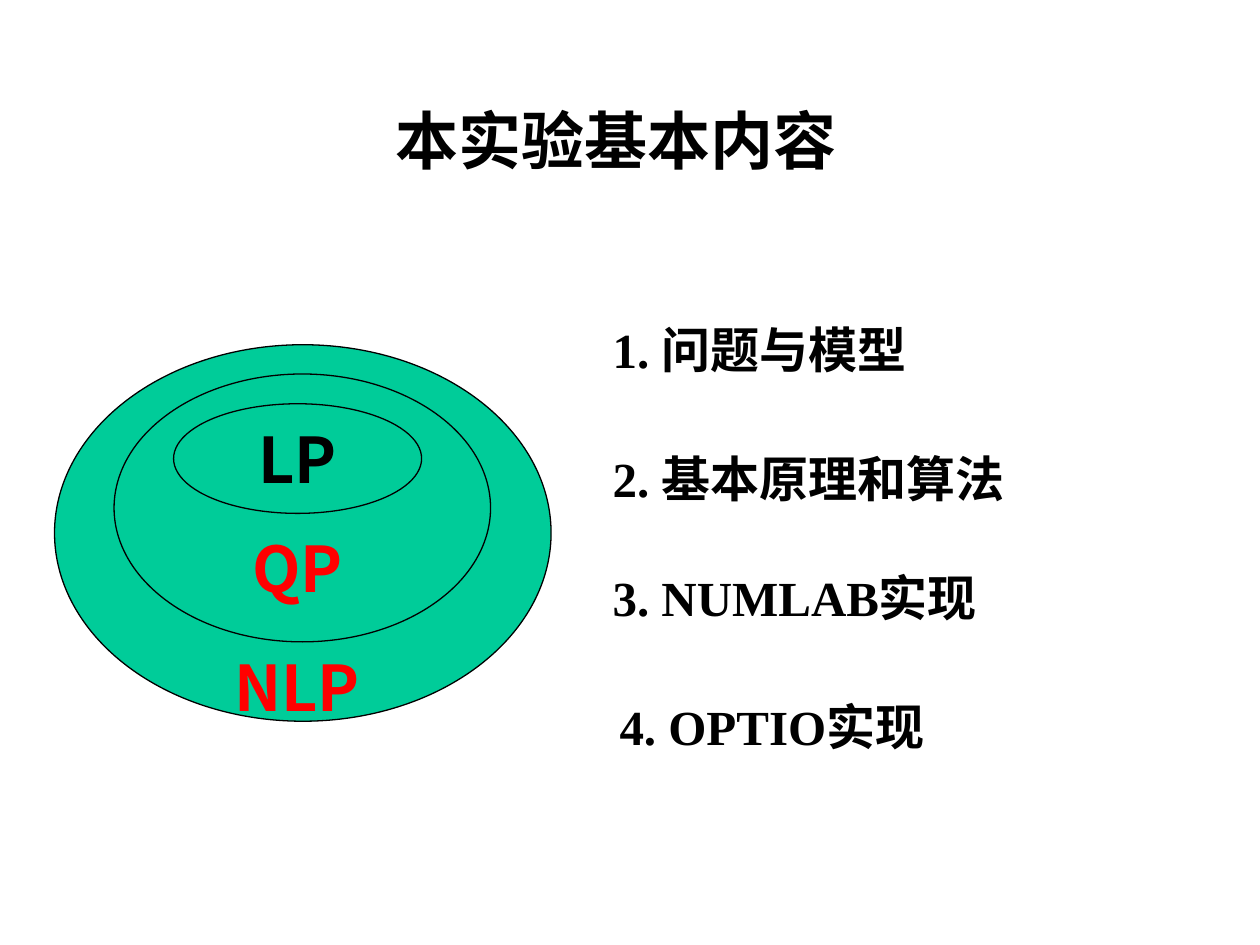
"""Build the slide that outlines the contents of the optimisation experiment."""
from lxml import etree
from pptx import Presentation
from pptx.dml.color import RGBColor
from pptx.enum.shapes import MSO_SHAPE
from pptx.enum.text import MSO_ANCHOR, PP_ALIGN
from pptx.oxml.ns import qn
from pptx.util import Cm, Pt

OVAL = MSO_SHAPE.OVAL
MIDDLE = MSO_ANCHOR.MIDDLE
CENTER, LEFT = PP_ALIGN.CENTER, PP_ALIGN.LEFT
SANS, SERIF = "Noto Sans CJK SC", "Times New Roman"
COLORS = {"black": "000000", "red": "FF0000", "green": "00CC99"}
HEADING = {"name": SANS, "size": Pt(36), "bold": True}
ITEM = {"name": SERIF, "size": Pt(28), "bold": True}


def add_text(wording, box, style, align, color="black"):
    frame = slide.shapes.add_textbox(*[Cm(length) for length in box]).text_frame
    frame.word_wrap = True
    frame.vertical_anchor = MIDDLE
    paragraph = frame.paragraphs[0]
    paragraph.alignment = align
    run = paragraph.add_run()
    run.text = wording
    for attribute, value in style.items():
        setattr(run.font, attribute, value)
    run.font.color.rgb = RGBColor.from_string(COLORS[color])
    etree.SubElement(run.font._element, qn("a:ea"), typeface=SANS)


prs = Presentation()
prs.slide_width, prs.slide_height = Cm(25.4), Cm(19.05)
slide = prs.slides.add_slide(prs.slide_layouts[6])

add_text("本实验基本内容", (3.1, 1.91, 18.62, 1.78), HEADING, CENTER)

problem_classes = [
    ("NLP", "red", (1.1, 6.95, 10.01, 7.59), (3.28, 12.95, 5.41, 1.78)),
    ("QP", "red", (2.3, 7.54, 7.59, 5.4), (1.5, 10.54, 8.99, 1.78)),
    ("LP", "black", (3.5, 8.14, 5, 2.21), (1.5, 8.34, 8.99, 1.78)),
]
for label, color, outline, label_box in problem_classes:
    region = slide.shapes.add_shape(OVAL, *[Cm(length) for length in outline])
    region.shadow.inherit = False
    region.fill.solid()
    region.fill.fore_color.rgb = RGBColor.from_string(COLORS["green"])
    region.line.color.rgb = RGBColor.from_string(COLORS["black"])
    region.line.width = Pt(0.75)
    add_text(label, label_box, HEADING, CENTER, color)

topics = [
    ("1. 问题与模型", 12.1, 6.3, 7.19),
    ("2. 基本原理和算法", 12.1, 8.92, 9.4),
    ("3. NUMLAB实现", 12.1, 11.31, 12.06),
    ("4. OPTIO实现", 12.24, 13.9, 12.06),
]
for topic, left, top, width in topics:
    add_text(topic, (left, top, width, 1.45), ITEM, LEFT)

prs.save("out.pptx")
